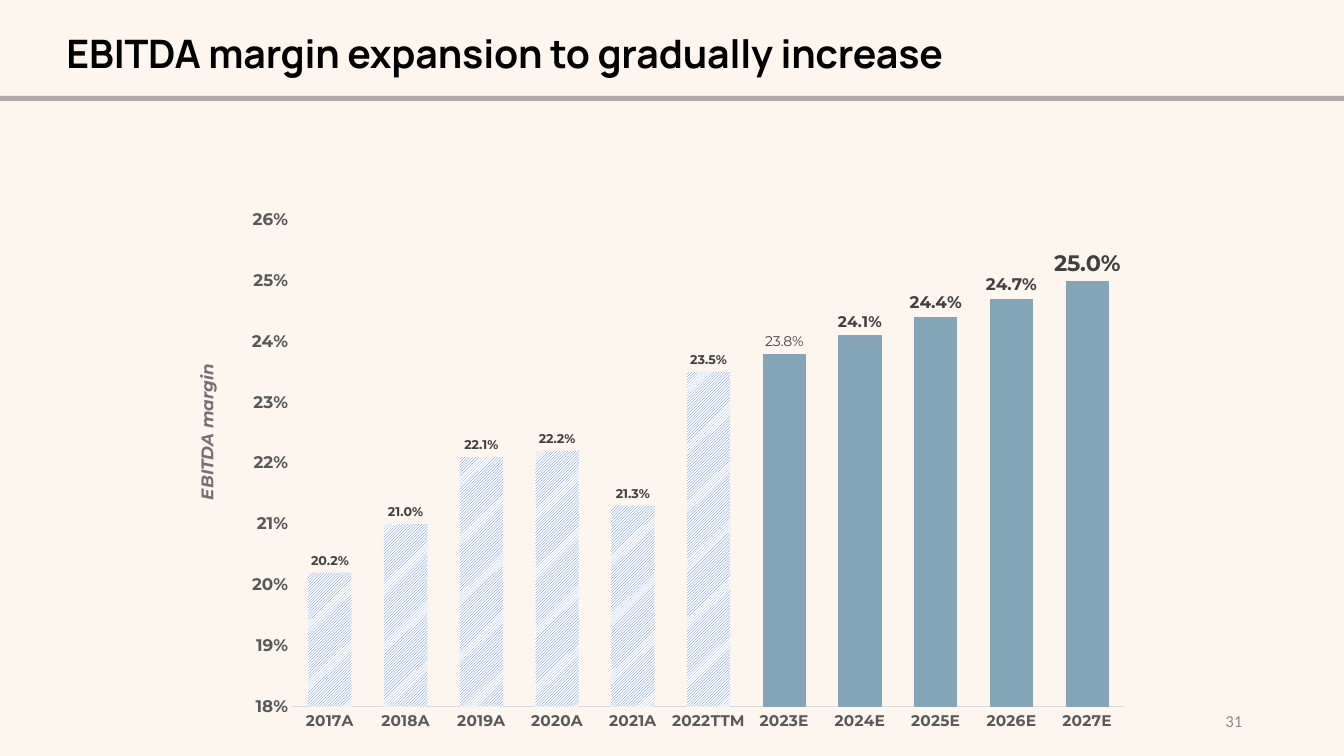
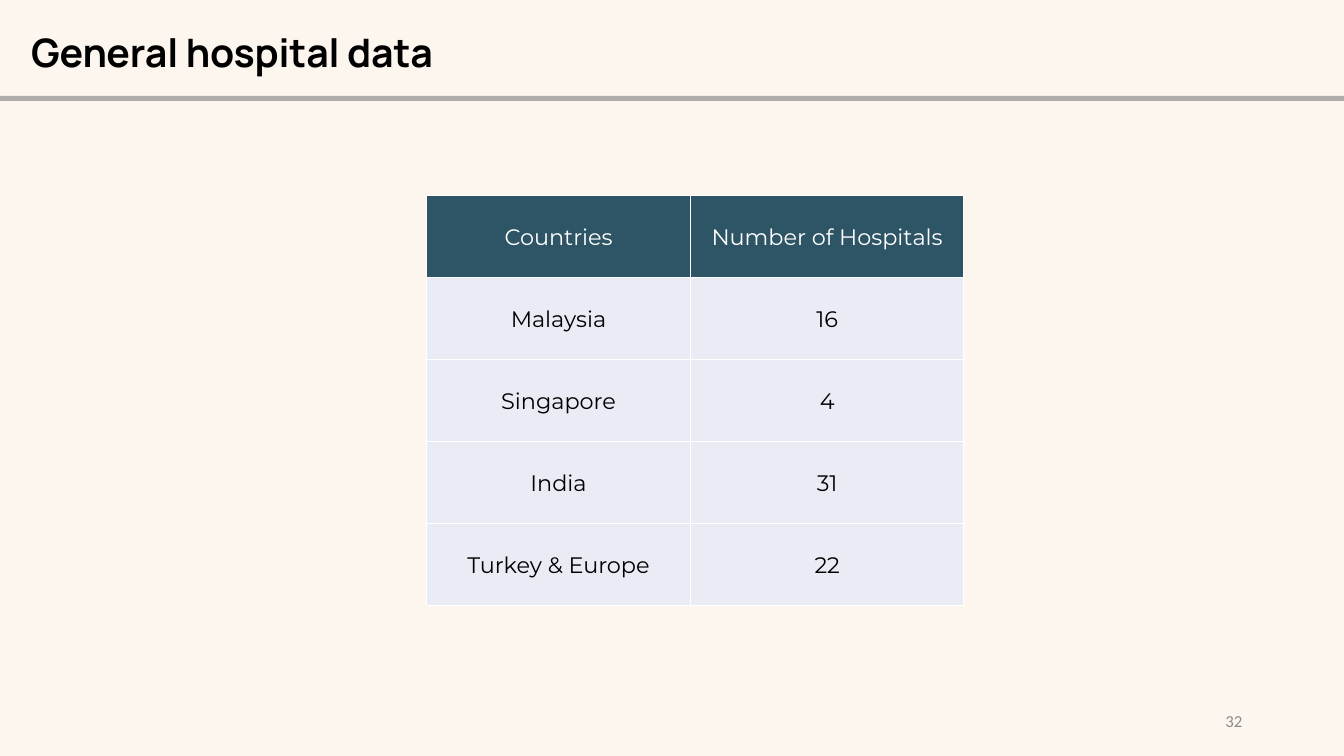
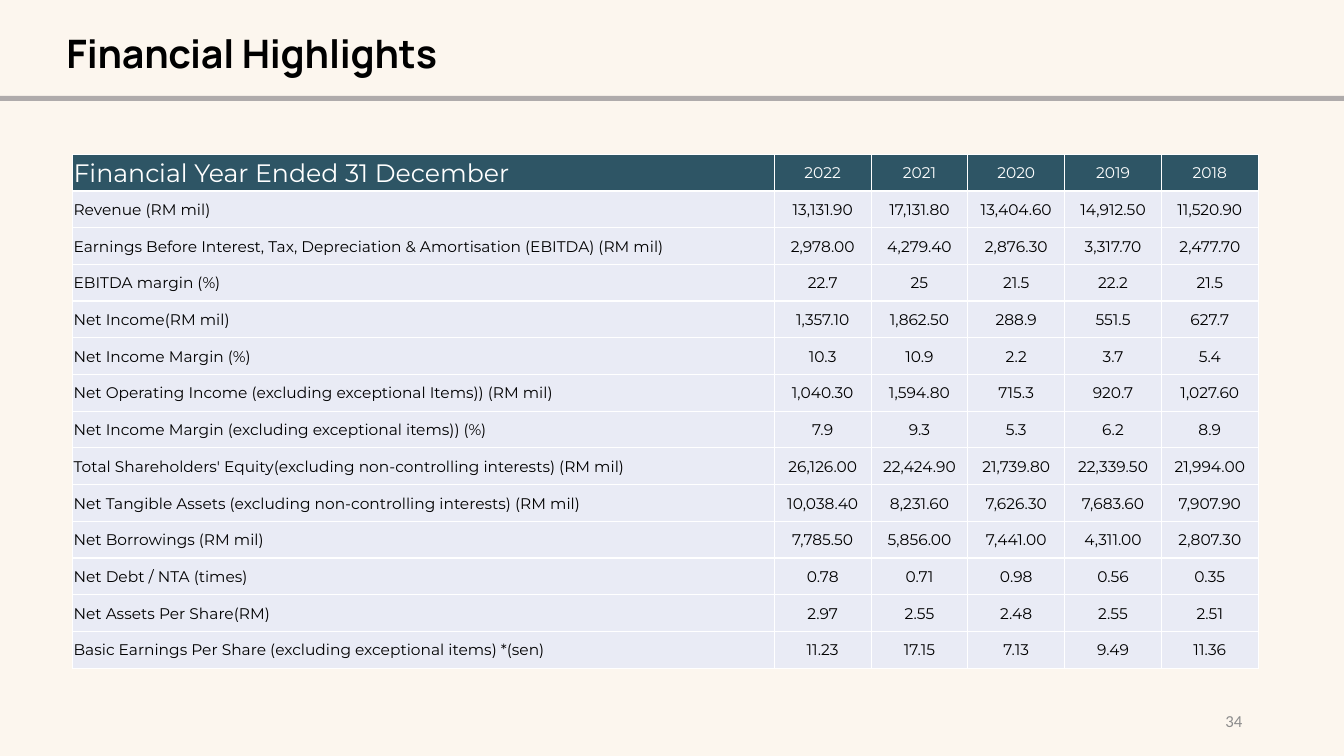
import pptx
import pptx.chart.data
import pptx.dml.color
import pptx.enum.chart
import pptx.enum.dml
import pptx.enum.shapes
import pptx.enum.text
import pptx.oxml
import pptx.oxml.ns
import pptx.util
from lxml import etree

Inches = pptx.util.Inches
Pt = pptx.util.Pt
RGBColor = pptx.dml.color.RGBColor
Align = pptx.enum.text.PP_ALIGN
Anchor = pptx.enum.text.MSO_ANCHOR
qn = pptx.oxml.ns.qn

CREAM = RGBColor(0xFC, 0xF6, 0xEE)
BAND_GRAY = RGBColor(0xAF, 0xAB, 0xAB)
NUMBER_GRAY = RGBColor(0x8C, 0x8C, 0x8C)
AXIS_GRAY = RGBColor(0x59, 0x59, 0x59)
AXIS_LINE = RGBColor(0xD9, 0xD9, 0xD9)
AXIS_TITLE_GRAY = RGBColor(0x76, 0x71, 0x71)
LABEL_GRAY = RGBColor(0x40, 0x40, 0x40)
HATCH_BLUE = RGBColor(0x44, 0x72, 0xC4)
FORECAST_BLUE = RGBColor(0x83, 0xA5, 0xB7)
HEADER_TEAL = RGBColor(0x2E, 0x55, 0x65)
CELL_BLUE = RGBColor(0xE9, 0xEB, 0xF5)
BLACK = RGBColor(0, 0, 0)
WHITE = RGBColor(0xFF, 0xFF, 0xFF)

BODY_FONT = "Montserrat"

EBITDA_MARGINS = {
    "2017A": 0.202, "2018A": 0.21, "2019A": 0.221, "2020A": 0.222,
    "2021A": 0.213, "2022TTM": 0.235, "2023E": 0.238, "2024E": 0.241,
    "2025E": 0.244, "2026E": 0.247, "2027E": 0.25,
}
# Label size and weight of each forecast year
FORECAST_LABELS = {
    "2023E": (10, False), "2024E": (11, True), "2025E": (12, True),
    "2026E": (12, True), "2027E": (16, True),
}

HOSPITALS = [
    ("Countries", "Number of Hospitals"),
    ("Malaysia", "16"),
    ("Singapore", "4"),
    ("India", "31"),
    ("Turkey & Europe", "22"),
]

HIGHLIGHTS = [
    ("Financial Year Ended 31 December", "2022", "2021", "2020", "2019", "2018"),
    ("Revenue (RM mil)",
     "13,131.90", "17,131.80", "13,404.60", "14,912.50", "11,520.90"),
    ("Earnings Before Interest, Tax, Depreciation & Amortisation (EBITDA) (RM mil)",
     "2,978.00", "4,279.40", "2,876.30", "3,317.70", "2,477.70"),
    ("EBITDA margin (%)", "22.7", "25", "21.5", "22.2", "21.5"),
    ("Net Income(RM mil)", "1,357.10", "1,862.50", "288.9", "551.5", "627.7"),
    ("Net Income Margin (%)", "10.3", "10.9", "2.2", "3.7", "5.4"),
    ("Net Operating Income (excluding exceptional Items)) (RM mil)",
     "1,040.30", "1,594.80", "715.3", "920.7", "1,027.60"),
    ("Net Income Margin (excluding exceptional items)) (%)",
     "7.9", "9.3", "5.3", "6.2", "8.9"),
    ("Total Shareholders' Equity(excluding non-controlling interests) (RM mil)",
     "26,126.00", "22,424.90", "21,739.80", "22,339.50", "21,994.00"),
    ("Net Tangible Assets (excluding non-controlling interests) (RM mil)",
     "10,038.40", "8,231.60", "7,626.30", "7,683.60", "7,907.90"),
    ("Net Borrowings (RM mil)",
     "7,785.50", "5,856.00", "7,441.00", "4,311.00", "2,807.30"),
    ("Net Debt / NTA (times)", "0.78", "0.71", "0.98", "0.56", "0.35"),
    ("Net Assets Per Share(RM)", "2.97", "2.55", "2.48", "2.55", "2.51"),
    ("Basic Earnings Per Share (excluding exceptional items) *(sen)",
     "11.23", "17.15", "7.13", "9.49", "11.36"),
]


def format_font(font, size, color, name=BODY_FONT, bold=False, italic=False):
    font.name = name
    font.size = Pt(size)
    font.bold = bold
    font.italic = italic
    font.color.rgb = color


def write_text(frame, text, align=Align.LEFT, spacing=None, **font_format):
    """Fill a text frame with one run; spacing is in hundredths of a point."""
    paragraph = frame.paragraphs[0]
    paragraph.alignment = align
    run = paragraph.add_run()
    run.text = text
    format_font(run.font, **font_format)
    if spacing is not None:
        run.font._element.set("spc", str(spacing))


def add_text(slide, text, left, top, width, height, margins=None,
             anchor=Anchor.MIDDLE, direction=None, **text_format):
    box = slide.shapes.add_textbox(
        Inches(left), Inches(top), Inches(width), Inches(height))
    frame = box.text_frame
    frame.word_wrap = True
    frame.vertical_anchor = anchor
    if margins:
        set_margins(frame, margins)
    if direction:
        frame._txBody.bodyPr.set("vert", direction)
    write_text(frame, text, **text_format)


def set_margins(target, margins):
    """Set left, top, right and bottom margins of a text frame or cell."""
    (target.margin_left, target.margin_top,
     target.margin_right, target.margin_bottom) = map(Inches, margins)


def add_base_slide(presentation, title, number, title_left=0.65, title_top=0.27):
    """Add a slide with the shared background, title, band and number."""
    slide = presentation.slides.add_slide(presentation.slide_layouts[6])
    slide.background.fill.solid()
    slide.background.fill.fore_color.rgb = CREAM
    band = slide.shapes.add_shape(
        pptx.enum.shapes.MSO_SHAPE.RECTANGLE,
        Inches(-0.08), Inches(0.95), Inches(13.49), Inches(0.05))
    band.shadow.inherit = False
    band.fill.solid()
    band.fill.fore_color.rgb = BAND_GRAY
    band.line.fill.background()
    add_text(slide, title, title_left, title_top, 10.27, 0.49,
             margins=(0.01, 0.01, 0, 0), spacing=-10,
             size=28, color=BLACK, name="Manrope", bold=True)
    add_text(slide, str(number), 9.42, 6.95, 3, 0.4, align=Align.RIGHT,
             size=12, color=NUMBER_GRAY, name="Calibri")
    return slide


def set_plot_layout(chart, **fractions):
    """Fix the inner plot area, in fractions of the chart."""
    plot_area = chart._chartSpace.chart.plotArea
    layout = plot_area.find(qn("c:layout"))
    if layout is None:
        layout = etree.Element(qn("c:layout"))
        plot_area.insert(0, layout)
    manual = etree.SubElement(layout, qn("c:manualLayout"))
    settings = {"layoutTarget": "inner", "xMode": "edge", "yMode": "edge"}
    for tag, value in (settings | fractions).items():
        etree.SubElement(manual, qn("c:" + tag)).set("val", str(value))


def style_axes(chart):
    tick_none = pptx.enum.chart.XL_TICK_MARK.NONE
    for axis, size in ((chart.category_axis, 11), (chart.value_axis, 12)):
        axis.major_tick_mark = tick_none
        axis.minor_tick_mark = tick_none
        axis.has_major_gridlines = False
        format_font(axis.tick_labels.font, size, AXIS_GRAY, bold=True)
    chart.category_axis.format.line.color.rgb = AXIS_LINE
    chart.category_axis.format.line.width = Pt(0.75)
    values = chart.value_axis
    values.format.line.fill.background()
    values.minimum_scale = 0.18
    values.maximum_scale = 0.26
    values.major_unit = 0.01
    values.tick_labels.number_format = "0%"
    values.tick_labels.number_format_is_linked = False


def style_margin_bars(series):
    """Hatch the actual years, fill the forecast ones, and label them all."""
    outside_end = pptx.enum.chart.XL_LABEL_POSITION.OUTSIDE_END
    series.format.fill.solid()
    series.format.fill.fore_color.rgb = HATCH_BLUE
    labels = series.data_labels
    labels.show_value = True
    labels.position = outside_end
    labels.number_format = "0.0%"
    labels.number_format_is_linked = False
    format_font(labels.font, 9, LABEL_GRAY, bold=True)
    for index, year in enumerate(EBITDA_MARGINS):
        point = series.points[index]
        fill = point.format.fill
        if year in FORECAST_LABELS:
            fill.solid()
            fill.fore_color.rgb = FORECAST_BLUE
            size, bold = FORECAST_LABELS[year]
            format_font(point.data_label.font, size, LABEL_GRAY, bold=bold)
            point.data_label.position = outside_end
        else:
            fill.patterned()
            fill.pattern = pptx.enum.dml.MSO_PATTERN.DARK_UPWARD_DIAGONAL
            fill.fore_color.rgb = HATCH_BLUE
            fill.back_color.rgb = WHITE


def add_margin_chart(slide):
    data = pptx.chart.data.CategoryChartData(number_format="0.0%")
    data.categories = list(EBITDA_MARGINS)
    data.add_series("Series 1", list(EBITDA_MARGINS.values()))
    chart = slide.shapes.add_chart(
        pptx.enum.chart.XL_CHART_TYPE.COLUMN_CLUSTERED,
        Inches(2.31), Inches(1.97), Inches(9.03), Inches(5.38), data).chart
    chart.has_legend = False
    chart.has_title = False
    format_font(chart.font, 10, BLACK, name="Calibri")
    set_plot_layout(chart, x=0.065, y=0.039, w=0.915, h=0.898)
    style_axes(chart)
    plot = chart.plots[0]
    plot.gap_width = 75
    plot.vary_by_categories = False
    style_margin_bars(plot.series[0])


def add_cell_borders(cell):
    properties = cell._tc.get_or_add_tcPr()
    for side in ("lnL", "lnR", "lnT", "lnB"):
        line = etree.SubElement(properties, qn("a:" + side), w=str(Pt(1)))
        fill = etree.SubElement(line, qn("a:solidFill"))
        etree.SubElement(fill, qn("a:srgbClr"), val=str(WHITE))


def add_data_table(slide, rows, left, top, height, column_widths, size,
                   first_header_size=None, first_align=Align.CENTER):
    """Add a table with a dark header row and light body cells."""
    table = slide.shapes.add_table(
        len(rows), len(column_widths), Inches(left), Inches(top),
        Inches(sum(column_widths)), Inches(height)).table
    table.horz_banding = False
    for column, width in zip(table.columns, column_widths):
        column.width = Inches(width)
    for row_index, row in enumerate(rows):
        table.rows[row_index].height = Inches(height / len(rows))
        is_header = row_index == 0
        for column_index, text in enumerate(row):
            cell = table.cell(row_index, column_index)
            is_first = column_index == 0
            set_margins(cell, (0.01, 0.01, 0.01, 0))
            cell.vertical_anchor = Anchor.MIDDLE
            add_cell_borders(cell)
            cell.fill.solid()
            cell.fill.fore_color.rgb = HEADER_TEAL if is_header else CELL_BLUE
            write_text(
                cell.text_frame, text,
                align=first_align if is_first else Align.CENTER,
                size=first_header_size or size if is_header and is_first else size,
                color=WHITE if is_header else BLACK)


def main():
    presentation = pptx.Presentation()
    presentation.slide_width = Inches(13.33)
    presentation.slide_height = Inches(7.5)

    margin_slide = add_base_slide(
        presentation, "EBITDA margin expansion to gradually increase", 31)
    add_margin_chart(margin_slide)
    add_text(margin_slide, "EBITDA margin", 1.9, 3.46, 0.4, 1.6,
             anchor=Anchor.TOP, direction="vert270",
             size=12, color=AXIS_TITLE_GRAY, bold=True, italic=True)

    hospital_slide = add_base_slide(
        presentation, "General hospital data", 32, title_left=0.3, title_top=0.26)
    add_data_table(hospital_slide, HOSPITALS, 4.23, 1.94, 4.07,
                   [2.62, 2.71], size=16)

    highlights_slide = add_base_slide(presentation, "Financial Highlights", 34)
    add_data_table(highlights_slide, HIGHLIGHTS, 0.72, 1.53, 5.1,
                   [6.96] + [0.96] * 5, size=11,
                   first_header_size=18, first_align=Align.LEFT)

    presentation.save("out.pptx")


if __name__ == "__main__":
    main()
